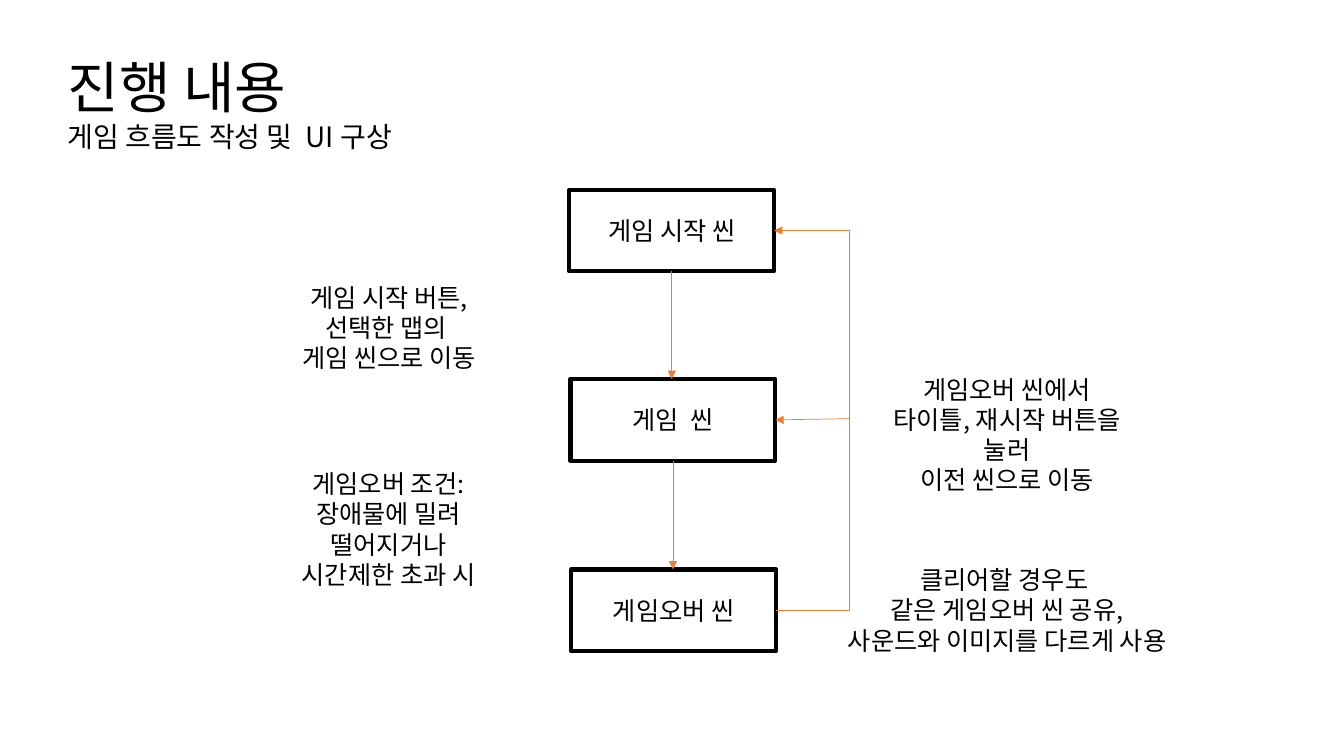
from lxml import etree
from pptx import Presentation
from pptx import util as u
from pptx.dml.color import RGBColor
from pptx.enum import shapes, text
from pptx.oxml.ns import qn

COLORS = {"ink": "000000", "paper": "FFFFFF", "arrow": "ED7D31"}
FONT = "Noto Sans CJK KR"


def write(frame, lines, sizes, align):
    """Fill a text frame, one paragraph per line, with Latin and Korean type."""
    frame.word_wrap = True
    frame.auto_size = text.MSO_AUTO_SIZE.NONE
    frame.text = "\n".join(lines)
    for paragraph, size in zip(frame.paragraphs, sizes):
        paragraph.alignment = align
        paragraph.line_spacing = 1.0
        font = paragraph.font
        font.size = u.Pt(size)
        font.color.rgb = RGBColor.from_string(COLORS["ink"])
        font.name = FONT
        defaults = paragraph._p.pPr.find(qn("a:defRPr"))
        etree.SubElement(defaults, qn("a:ea"), typeface=FONT)


def add_arrow(kind, x1, y1, x2, y2):
    arrow = slide.shapes.add_connector(kind, u.Cm(x1), u.Cm(y1), u.Cm(x2), u.Cm(y2))
    arrow.line.color.rgb = RGBColor.from_string(COLORS["arrow"])
    arrow.line.width = u.Pt(0.5)
    etree.SubElement(arrow.line._get_or_add_ln(), qn("a:tailEnd"), type="triangle")
    etree.SubElement(arrow._element.spPr, qn("a:effectLst"))
    return arrow


deck = Presentation()
deck.slide_width, deck.slide_height = u.Cm(33.87), u.Cm(19.05)
slide = deck.slides.add_slide(deck.slide_layouts[5])

title = slide.shapes.title
title.left, title.top, title.width, title.height = u.Cm(1.45), u.Cm(1.19), u.Cm(8.81), u.Cm(2.82)
title.text_frame.vertical_anchor = text.MSO_ANCHOR.TOP
write(title.text_frame, ["진행 내용", "게임 흐름도 작성 및  UI 구상"], [40, 20], text.PP_ALIGN.LEFT)

# Scenes
SCENE_W, SCENE_H = 5.16, 2.06
scenes = [
    ("게임 시작 씬", 14.35, 4.78),
    ("게임  씬", 14.38, 9.55),
    ("게임오버 씬", 14.4, 14.35),
]
for name, left, top in scenes:
    scene = slide.shapes.add_shape(
        shapes.MSO_SHAPE.RECTANGLE, u.Cm(left), u.Cm(top), u.Cm(SCENE_W), u.Cm(SCENE_H))
    scene.shadow.inherit = False
    scene.fill.solid()
    scene.fill.fore_color.rgb = RGBColor.from_string(COLORS["paper"])
    scene.line.color.rgb = RGBColor.from_string(COLORS["ink"])
    scene.line.width = u.Pt(3)
    scene.text_frame.vertical_anchor = text.MSO_ANCHOR.MIDDLE
    write(scene.text_frame, [name], [18], text.PP_ALIGN.CENTER)

# Explanations beside the flow; \v is a line break inside a paragraph
notes = [
    (7.24, 6.99, 5.13, ["게임 시작 버튼,", "선택한 맵의 ", "게임 씬으로 이동"]),
    (6.22, 11.68, 7.14, ["게임오버 조건:", "장애물에 밀려 떨어지거나\v시간제한 초과 시"]),
    (21.72, 9.3, 7.32, ["게임오버 씬에서\v타이틀, 재시작 버튼을 눌러", "이전 씬으로 이동"]),
    (21.01, 14.1, 8.74, ["클리어할 경우도 ", "같은 게임오버 씬 공유,", "사운드와 이미지를 다르게 사용"]),
]
for left, top, width, lines in notes:
    note = slide.shapes.add_textbox(u.Cm(left), u.Cm(top), u.Cm(width), u.Cm(2.57))
    write(note.text_frame, lines, [18] * len(lines), text.PP_ALIGN.CENTER)

# Downward flow
for (_, left, top), (_, _, next_top) in zip(scenes, scenes[1:]):
    center = left + SCENE_W / 2
    add_arrow(shapes.MSO_CONNECTOR.STRAIGHT, center, top + SCENE_H, center, next_top)

# Return from game over to the start scene, with a branch to the game scene
start_x, game_x, over_x = [left + SCENE_W for _, left, _ in scenes]
start_y, game_y, over_y = [top + SCENE_H / 2 for _, _, top in scenes]
RETURN_X = 21.41
back = add_arrow(shapes.MSO_CONNECTOR.ELBOW, over_x, over_y, start_x, start_y)
bend = (over_x - RETURN_X) / (over_x - start_x)
guides = back._element.spPr.find(qn("a:prstGeom")).get_or_add_avLst()
etree.SubElement(guides, qn("a:gd"), name="adj1", fmla=f"val {round(bend * 100000)}")
add_arrow(shapes.MSO_CONNECTOR.STRAIGHT, RETURN_X, game_y - 0.03, game_x, game_y)

deck.save("out.pptx")
